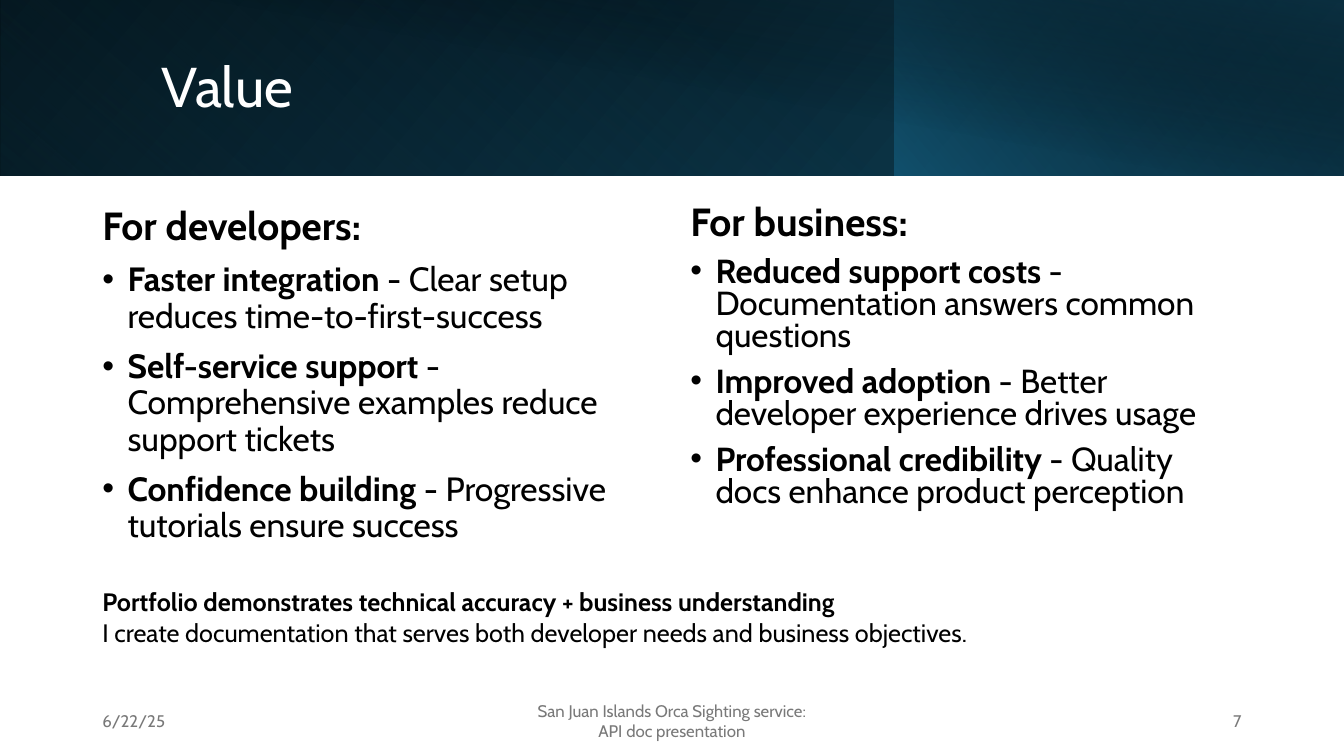
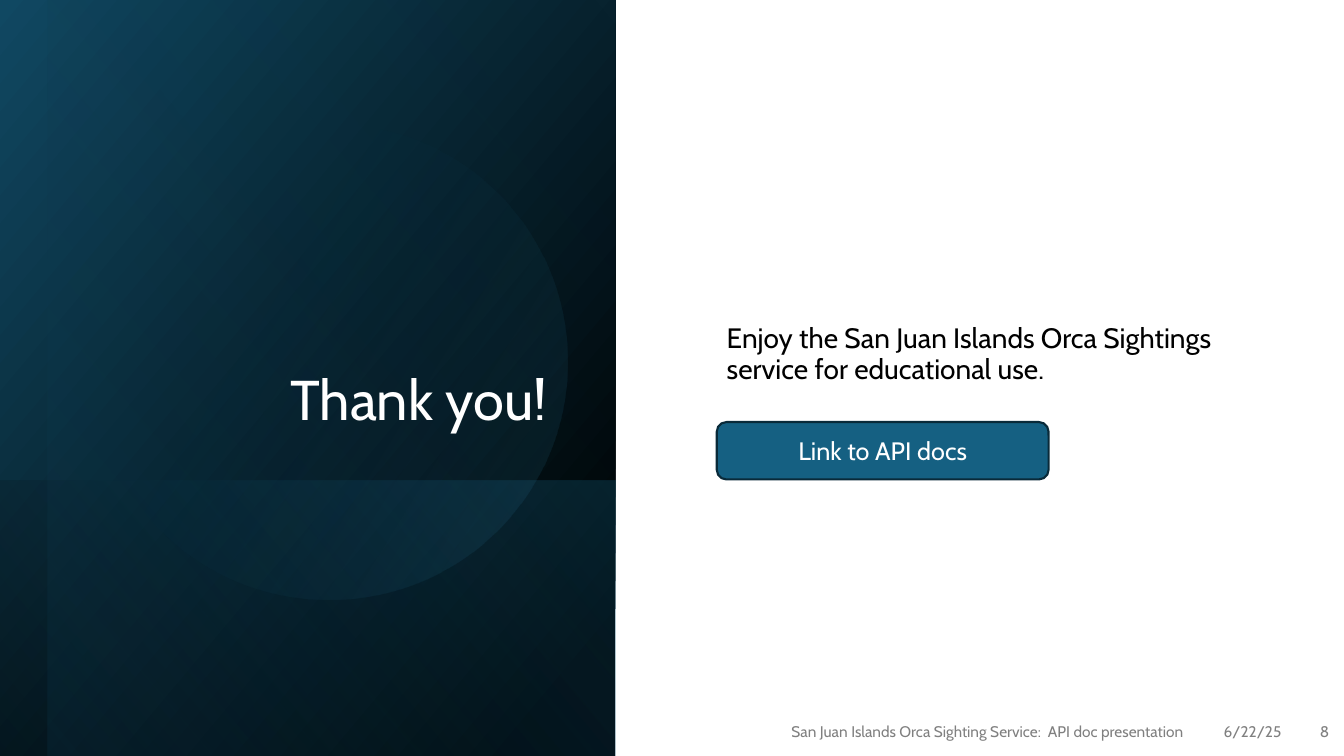
from dataclasses import dataclass

from lxml import etree
from pptx import Presentation
from pptx.dml.color import RGBColor
from pptx.enum.shapes import MSO_SHAPE
from pptx.enum.text import MSO_ANCHOR, MSO_AUTO_SIZE, PP_ALIGN
from pptx.oxml.ns import qn
from pptx.util import Pt

RECT, ROUND, OVAL = MSO_SHAPE.RECTANGLE, MSO_SHAPE.ROUNDED_RECTANGLE, MSO_SHAPE.OVAL
LEFT, MID, RIGHT = PP_ALIGN.LEFT, PP_ALIGN.CENTER, PP_ALIGN.RIGHT
TOP, HALF, BASE = MSO_ANCHOR.TOP, MSO_ANCHOR.MIDDLE, MSO_ANCHOR.BOTTOM
FIXED = MSO_AUTO_SIZE.NONE


@dataclass(frozen=True)
class Theme:
    font: str = "Cabin"
    white: str = "FFFFFF"
    black: str = "000000"
    blue: str = "156082"
    deep: str = "104862"
    navy: str = "0B3041"
    sky: str = "46B1E1"
    edge: str = "092A39"
    ash: str = "797979"
    gray: str = "808080"
    title: float = 40
    head: float = 28
    body: float = 24
    tight: float = 23.8
    lead: float = 20
    note: float = 18
    foot: float = 12
    small: float = 11


T = Theme()


def apply(item, look):
    for name, value in look.items():
        setattr(item, name, value)


def place(item, box):
    names = ("left", "top", "width", "height")
    apply(item, dict(zip(names, map(Pt, box))))


def within(box, part):
    return (box[0] + part[0], box[1] + part[1], *part[2:])


def bullet(para):
    props = para._p.get_or_add_pPr()
    props.set("marL", str(Pt(18)))
    props.set("indent", str(-Pt(18)))
    etree.SubElement(props, qn("a:buFont"), typeface="Arial")
    etree.SubElement(props, qn("a:buChar"), char="•")


def write(para, runs, size, color, look):
    apply(para, look)
    for text, bold in runs:
        for row, line in enumerate(text.split("\n")):
            if row:
                para.add_line_break()
            run = para.add_run()
            run.text = line
            apply(run.font, {"name": T.font, "size": Pt(size), "bold": bold})
            run.font.color.rgb = RGBColor.from_string(color)


def frame(shape, anchor):
    text = shape.text_frame
    apply(text, {"word_wrap": True, "auto_size": FIXED, "vertical_anchor": anchor})
    return text


def text_box(slide, box, rows, size, color, anchor=TOP, **look):
    text = frame(slide.shapes.add_textbox(*map(Pt, box)), anchor)
    for spot, runs in enumerate(rows):
        para = text.add_paragraph() if spot else text.paragraphs[0]
        write(para, runs, size, color, look)


def title(slide, box, words, anchor, align):
    shape = slide.shapes.title
    place(shape, box)
    shape.element.getparent().append(shape.element)
    text = frame(shape, anchor)
    look = {"alignment": align, "line_spacing": 0.9}
    write(text.paragraphs[0], [(words, False)], T.title, T.white, look)


def veil(slide, box, stops, angle, turn=0, flip=True, form=RECT):
    left, top, width, height = box
    if turn == 90:
        left, top = left + (width - height) / 2, top + (height - width) / 2
        width, height = height, width
    shape = slide.shapes.add_shape(form, *map(Pt, (left, top, width, height)))
    shape.shadow.inherit = False
    shape.rotation = turn
    shape.line.fill.background()
    props = shape.element.spPr
    if flip:
        props.find(qn("a:xfrm")).set("flipH", "1")
    fill = shape.fill
    fill.gradient()
    fill.gradient_angle = 360 - angle
    for stop, (spot, color, _) in zip(fill.gradient_stops, stops):
        stop.position = spot / 100
        stop.color.rgb = RGBColor.from_string(color)
    for node, (_, _, alpha) in zip(props.iter(qn("a:srgbClr")), stops):
        etree.SubElement(node, qn("a:alpha"), val=str(alpha * 1000))


def veils(slide, box, layers):
    for part, *look in layers:
        veil(slide, within(box, part), *look)


def band(slide, box):
    _, _, width, height = box
    split = 639
    veils(slide, box, [
        ((0, 0, width, height), [(0, T.black, 100), (100, T.deep, 100)], 140),
        ((0, 0, split, height), [(20, T.blue, 0), (100, T.navy, 55)], 230, 180),
        ((split, 0, width - split, height), [(0, T.blue, 66), (100, T.black, 30)], 220),
        ((36, 0, width - 36, height), [(50, T.black, 0), (99, T.navy, 52)], 280, 0, False),
    ])


def panel(slide, box):
    _, _, width, height = box
    low = 343
    veils(slide, box, [
        ((0, 0, width, height), [(8, T.black, 100), (100, T.deep, 100)], 50, 90),
        ((0, low, width, height - low), [(2, T.blue, 29), (100, T.black, 30)], 130, 90),
        ((34, 0, width - 34, height), [(0, T.black, 0), (99, T.blue, 11)], 130, 90),
        ((65, 88.5, 340, 340), [(39, T.blue, 0), (100, T.sky, 15)], 290, 101.6, False, OVAL),
    ])


def footer(slide, box, parts, size, color):
    for words, left, width, align in parts:
        spot = within(box, (left, 0, width, box[3]))
        text_box(slide, spot, [[(words, False)]], size, color, HALF, alignment=align)


def points(slide, box, head, items, size, gap):
    text = frame(slide.shapes.add_textbox(*map(Pt, box)), TOP)
    look = {"line_spacing": gap, "space_before": Pt(10)}
    write(text.paragraphs[0], [(head, True)], T.head, T.black, look)
    for name, gain in items:
        para = text.add_paragraph()
        write(para, [(name, True), (" - " + gain, False)], size, T.black, look)
        bullet(para)


def button(slide, box, words):
    shape = slide.shapes.add_shape(ROUND, *map(Pt, box))
    shape.shadow.inherit = False
    shape.fill.solid()
    shape.fill.fore_color.rgb = RGBColor.from_string(T.blue)
    shape.line.color.rgb = RGBColor.from_string(T.edge)
    shape.line.width = Pt(1.5)
    para = frame(shape, HALF).paragraphs[0]
    write(para, [(words, False)], T.note, T.white, {"alignment": MID})


def value(slide, box):
    left, top, width, _ = box
    band(slide, (left, top, width, 125.5))
    title(slide, within(box, (108, 23, 779, 81)), "Value", HALF, LEFT)
    footer(slide, within(box, (66, 500.5, 864, 29)), [
        ("6/22/25", 0, 216, LEFT),
        ("San Juan Islands Orca Sighting service:\nAPI doc presentation", 252, 324, MID),
        ("7", 612, 216, RIGHT),
    ], T.foot, T.ash)
    points(slide, within(box, (66, 144, 408, 260)), "For developers:", [
        ("Faster integration", "Clear setup reduces time-to-first-success"),
        ("Self-service support", "Comprehensive examples reduce support tickets"),
        ("Confidence building", "Progressive tutorials ensure success"),
    ], T.body, 0.9)
    points(slide, within(box, (486, 144, 408, 245)), "For business:", [
        ("Reduced support costs", "Documentation answers common questions"),
        ("Improved adoption", "Better developer experience drives usage"),
        ("Professional credibility", "Quality docs enhance product perception"),
    ], T.tight, 0.8)
    text_box(slide, within(box, (66, 415.5, 875, 51)), [
        [("Portfolio demonstrates technical accuracy + business understanding", True)],
        [("I create documentation that serves both developer needs and business objectives.", False)],
    ], T.note, T.black)


def thanks(slide, box):
    left, top, _, height = box
    panel(slide, (left, top, 439.5, height))
    title(slide, within(box, (65, 46, 333, 266.5)), "Thank you!", BASE, RIGHT)
    footer(slide, within(box, (543.5, 508, 413, 29)), [
        ("San Juan Islands Orca Sighting Service:  API doc presentation", 0, 324, MID),
        ("6/22/25", 163, 216, RIGHT),
        ("8", 378, 35, RIGHT),
    ], T.small, T.gray)
    words = "Enjoy the San Juan Islands Orca Sightings service for educational use."
    text_box(slide, within(box, (512, 51, 383, 405)), [[(words, False)]],
             T.lead, T.black, HALF, line_spacing=0.9, space_before=Pt(10))
    button(slide, within(box, (512, 301.5, 237, 41)), "Link to API docs")


def main():
    deck = Presentation()
    page = (0, 0, 960, 540)
    deck.slide_width, deck.slide_height = map(Pt, page[2:])
    for build in (value, thanks):
        build(deck.slides.add_slide(deck.slide_layouts[5]), page)
    deck.save("out.pptx")


if __name__ == "__main__":
    main()
